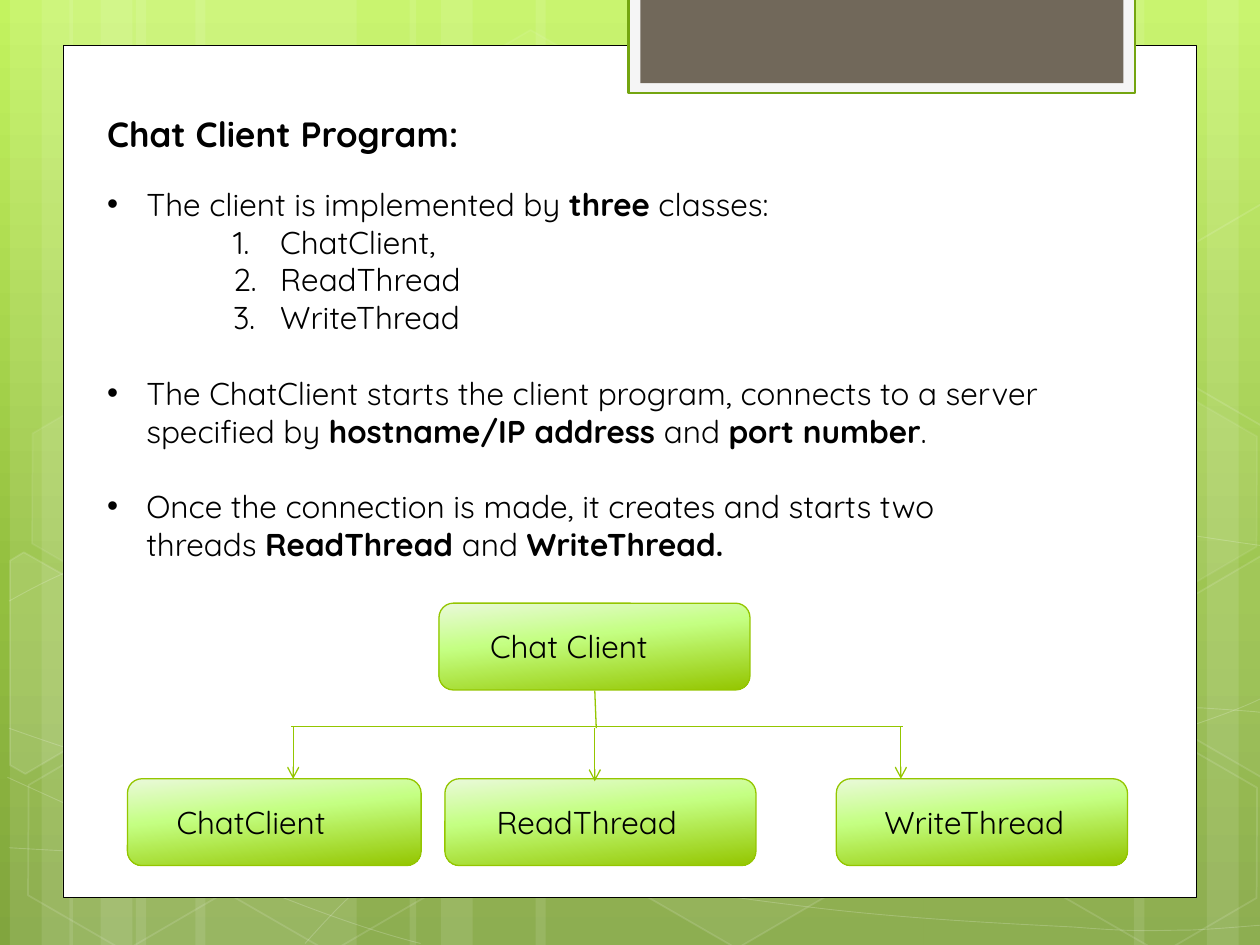
from math import cos, radians, sin

from lxml import etree
from pptx import Presentation
from pptx.dml.color import RGBColor
from pptx.enum.shapes import MSO_CONNECTOR, MSO_SHAPE
from pptx.enum.text import MSO_AUTO_SIZE
from pptx.oxml.ns import qn
from pptx.util import Cm, Pt

RECT, ROUND, HEX = MSO_SHAPE.RECTANGLE, MSO_SHAPE.ROUNDED_RECTANGLE, MSO_SHAPE.HEXAGON
LINE = MSO_CONNECTOR.STRAIGHT
GROW = MSO_AUTO_SIZE.SHAPE_TO_FIT_TEXT
WIDE, HIGH, TILT = 25.4, 19.05, 30

THEME = dict(
    font="Quicksand", head=20, body=18, gap=21.6,
    ink="000000", white="FFFFFF", pale="F5F5F5", brown="71685A",
    rim="74A510", green="94C600",
    back=[(0, "C3F35F"), (62, "93BF3F"), (100, "81A53E")],
    node=[(0, "EAF9DA"), (40, "C4FF82"), (100, "94C600")],
)

# Text: "~" is a space that does not break, every second piece is bold.
TITLE = "Chat Client Program:"
BODY = [  # kind, space before, pieces
    ("dot", 0, ["The client is implemented by ", "three", " classes:~"]),
    ("num", 0, ["ChatClient,"]),
    ("num", 0, ["ReadThread~"]),
    ("num", 0, ["WriteThread"]),
    ("dot", 1, ["The~ChatClient~starts the client program, connects to a server specified by~",
                "hostname/IP address", "~and ", "port number", "."]),
    ("dot", 1, ["Once the connection is made, it creates and starts two threads~",
                "ReadThread~", "and~", "WriteThread."]),
]
LISTS = {  # level, margin, hang, bullet tag, its attribute
    "dot": (0, 0.79, 0.79, "a:buChar", ("char", "•")),
    "num": (1, 3.49, 0.95, "a:buAutoNum", ("type", "arabicPeriod")),
}

# Chart: label, left, top, width, label left, label width
NODES = [
    ("WriteThread", 16.86, 15.7, 5.87, 17.58, 4.45),
    ("ReadThread", 8.97, 15.7, 6.27, 9.76, 4.45),
    ("ChatClient", 2.57, 15.7, 5.92, 3.31, 4.45),
    ("Chat Client", 8.85, 12.16, 6.27, 9.63, 4.8),
]
LINKS = [  # start x, y, end x, y, arrow
    (5.87, 14.64, 18.21, 14.64, False),
    (18.16, 14.64, 18.16, 15.7, True),
    (5.91, 14.64, 5.91, 15.7, True),
    (11.99, 14.68, 11.99, 15.75, True),
    (11.99, 13.92, 12.02, 14.68, False),
]

# Backdrop
BANDS = [(2.74, 4.45), (0.2, 1.27), (0.84, 2.11), (3.94, 4.45), (1.4, 1.27), (2.03, 2.11),
         (18.62, 4.45), (24.33, 1.27), (22.86, 2.11), (10.8, 7.82), (8.26, 1.27), (8.89, 2.11)]
CURVES = [  # start, then two handles and an end for each piece
    [(0.18, 17.09), (1.55, 17.17), (2.92, 17.25), (4.83, 17.22), (6.73, 17.2), (9.09, 17.15),
     (11.63, 16.89), (14.17, 16.64), (17.78, 16.15), (20.12, 15.67), (22.43, 15.19),
     (24.82, 14.43), (25.58, 14)],
    [(0.18, 12.12), (0.91, 11.71), (1.65, 11.33), (3.07, 10.95), (4.52, 10.57), (6.58, 10.01),
     (8.81, 9.83), (11.07, 9.65), (13.82, 9.63), (16.61, 9.83), (19.41, 10.03),
     (24.05, 10.82), (25.58, 11.02)],
    [(0.15, 15.67), (3.23, 17.07), (6.27, 18.47), (8.48, 19.02)],
    [(0.18, 14.68), (0.97, 14.96), (1.78, 15.24), (3.25, 15.65), (4.72, 16.03), (6.93, 16.66),
     (9.07, 17.09), (11.18, 17.53), (13.84, 17.98), (15.95, 18.24), (18.06, 18.52),
     (20.32, 18.62), (21.67, 18.69), (22.99, 18.8), (23.34, 18.75), (24, 18.75),
     (24.66, 18.72), (25.12, 18.67), (25.58, 18.64)],
    [(6.15, 19.02), (6.6, 18.52), (7.06, 18.01), (7.67, 17.55), (8.28, 17.09), (9.14, 16.59),
     (9.86, 16.23), (10.57, 15.88), (11, 15.72), (11.94, 15.47), (12.85, 15.21),
     (14.55, 14.86), (15.44, 14.68), (16.36, 14.5), (16.48, 14.5), (17.27, 14.45),
     (18.06, 14.38), (19.3, 14.3), (20.17, 14.27), (21.06, 14.25), (22.5, 14.27),
     (22.5, 14.27), (23.1, 14.27), (23.6, 14.27), (24.21, 14.27), (24.66, 14.3),
     (25.1, 14.33), (25.32, 14.35), (25.55, 14.38), (25.48, 14.35), (25.55, 14.38)],
]
HEXES = [  # left, top, fill and line opacity
    (8.48, 0.91, 4, 8), (12.62, 14.96, 6, 12), (0.28, 15.01, 0, 12), (0.36, 7.92, 7, 8),
    (4.42, 15.04, 0, 12), (19.13, 11.51, 10, 12), (21.18, 15.06, 0, 12), (21.18, 7.98, 7, 8),
]
LEFT = [(0.2, 11.3), (0.48, 11.13), (2.44, 12.24), (2.41, 14.48), (0.51, 15.6), (0.2, 15.42)]
RIGHT = [(23.52, 12.32), (25.43, 11.2), (25.63, 11.33), (25.63, 15.57), (25.45, 15.67),
         (23.52, 14.55)]
PARTS = [  # outline, pivot, fill opacity
    (LEFT, (0.91, 13.59), 10),
    (RIGHT, (25.02, 13.21), 4),
    ([(x, y - 7.09) for x, y in RIGHT], (25.02, 6.12), 0),
]

# Card: left, top, width, height, fill, line, line width
CARD = [
    (1.27, 0.91, 22.86, 17.18, "white", "ink", 0.5),
    (12.67, -0.05, 10.21, 1.93, "pale", "rim", 1.25),
    (12.91, -0.05, 9.74, 1.73, "brown", None, 0),
]


def tint(fill, root, color, alpha):
    """Fill solid; root is the element that holds the fill, alpha a percentage."""
    fill.solid()
    fill.fore_color.rgb = RGBColor.from_string(color)
    if alpha < 100:
        clr = root.find(qn("a:solidFill"))[0]
        etree.SubElement(clr, qn("a:alpha"), val=str(alpha * 1000))


def blend(fill, root, stops, angle):
    fill.gradient()
    grad = root.find(".//" + qn("a:gradFill"))
    rows = grad.find(qn("a:gsLst"))
    rows.clear()
    for pos, color in stops:
        stop = etree.SubElement(rows, qn("a:gs"), pos=str(pos * 1000))
        etree.SubElement(stop, qn("a:srgbClr"), val=color)
    grad.find(qn("a:lin")).set("ang", str(angle * 60000))


def paint(shape, fill=None, line=None, width=1, veil=100, edge=100):
    """Set fill and line; veil and edge are their opacities."""
    shape.shadow.inherit = False
    if fill and veil:
        tint(shape.fill, shape._element.spPr, fill, veil)
    else:
        shape.fill.background()
    if line:
        shape.line.width = Pt(width)
        tint(shape.line.fill, shape.line._get_or_add_ln(), line, edge)
    else:
        shape.line.fill.background()


def draw(shapes, points, closed):
    dots = [(Cm(x), Cm(y)) for x, y in points]
    form = shapes.build_freeform(*dots[0])
    form.add_line_segments(dots[1:], close=closed)
    return form.convert_to_shape()


def curve(shapes, knots):
    """Draw the knots as lines, then join each three into one cubic piece."""
    shape = draw(shapes, knots, False)
    steps = list(shape._element.iter(qn("a:lnTo")))
    for i in range(0, len(steps), 3):
        trio = steps[i:i + 3]
        cubic = etree.SubElement(trio[0].getparent(), qn("a:cubicBezTo"))
        for step in trio:
            cubic.append(step[0])
            step.getparent().remove(step)
    return shape


def turn(points, pivot, angle):
    c, s = cos(radians(angle)), sin(radians(angle))
    px, py = pivot
    return [(px + (x - px) * c - (y - py) * s, py + (x - px) * s + (y - py) * c)
            for x, y in points]


def write(para, pieces, size, bold=False):
    for i, piece in enumerate(pieces):
        run = para.add_run()
        run.text = piece.replace("~", chr(160))
        run.font.name, run.font.size = THEME["font"], Pt(size)
        run.font.bold = bold or i % 2 == 1
        run.font.color.rgb = RGBColor.from_string(THEME["ink"])


def text_box(shapes, *place):
    frame = shapes.add_textbox(*map(Cm, place)).text_frame
    frame.word_wrap, frame.auto_size = True, GROW
    return frame


def backdrop(slide):
    shapes, white = slide.shapes, THEME["white"]
    blend(slide.background.fill, slide.element, THEME["back"], 90)
    for x, wide in BANDS:
        paint(shapes.add_shape(RECT, Cm(x), 0, Cm(wide), Cm(HIGH)), white, veil=10)
    for knots in CURVES:
        paint(curve(shapes, knots), line=white, width=0.5, edge=20)
    for x, y, veil, edge in HEXES:
        cell = shapes.add_shape(HEX, Cm(x), Cm(y), Cm(4.45), Cm(3.86))
        cell.adjustments[0] = 0.285
        cell.rotation = TILT
        paint(cell, white, white, veil=veil, edge=edge)
    for points, pivot, veil in PARTS:
        part = draw(shapes, turn(points, pivot, -TILT), True)
        part.rotation = TILT
        paint(part, white, white, veil=veil, edge=12)
    for *place, fill, line, width in CARD:
        paint(shapes.add_shape(RECT, *map(Cm, place)), THEME[fill], THEME.get(line), width)


def content(shapes):
    write(text_box(shapes, 1.91, 2.14, 14.17, 1.12).paragraphs[0], [TITLE], THEME["head"], True)
    frame = text_box(shapes, 1.91, 3.6, 22.02, 7.95)
    for i, (kind, gap, pieces) in enumerate(BODY):
        para = frame.add_paragraph() if i else frame.paragraphs[0]
        level, margin, hang, tag, (key, val) = LISTS[kind]
        para.level, para.space_before = level, Pt(gap * THEME["gap"])
        props = para._p.get_or_add_pPr()
        props.set("marL", str(Cm(margin)))
        props.set("indent", str(-Cm(hang)))
        etree.SubElement(props, qn("a:buFont"), typeface="Arial" if kind == "dot" else "+mj-lt")
        etree.SubElement(props, qn(tag)).set(key, val)
        write(para, pieces, THEME["body"])


def chart(shapes):
    for label, x, y, wide, left, span in NODES:
        node = shapes.add_shape(ROUND, Cm(x), Cm(y), Cm(wide), Cm(1.75))
        paint(node, line=THEME["green"], width=0.75)
        blend(node.fill, node._element.spPr, THEME["node"], 84)
        write(text_box(shapes, left, y + 0.36, span, 1.02).paragraphs[0], [label], THEME["body"])
    for *ends, arrow in LINKS:
        link = shapes.add_connector(LINE, *map(Cm, ends))
        link.line.width = Pt(0.75)
        link.line.color.rgb = RGBColor.from_string(THEME["green"])
        if arrow:
            etree.SubElement(link.line._get_or_add_ln(), qn("a:tailEnd"), type="arrow")
        etree.SubElement(link._element.spPr, qn("a:effectLst"))


def main():
    deck = Presentation()
    deck.slide_width, deck.slide_height = Cm(WIDE), Cm(HIGH)
    slide = deck.slides.add_slide(deck.slide_layouts[6])
    backdrop(slide)
    content(slide.shapes)
    chart(slide.shapes)
    deck.save("out.pptx")


if __name__ == "__main__":
    main()
